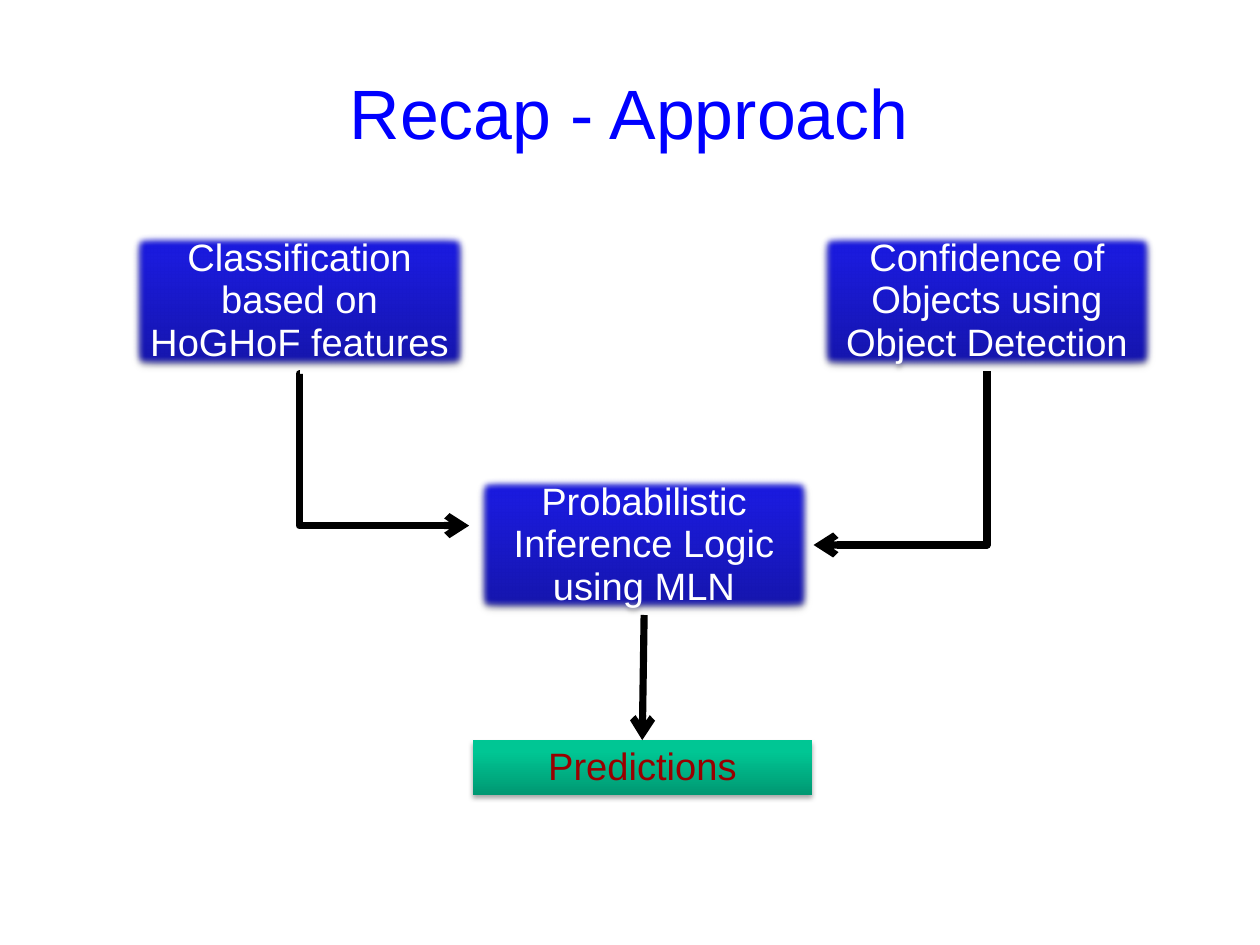
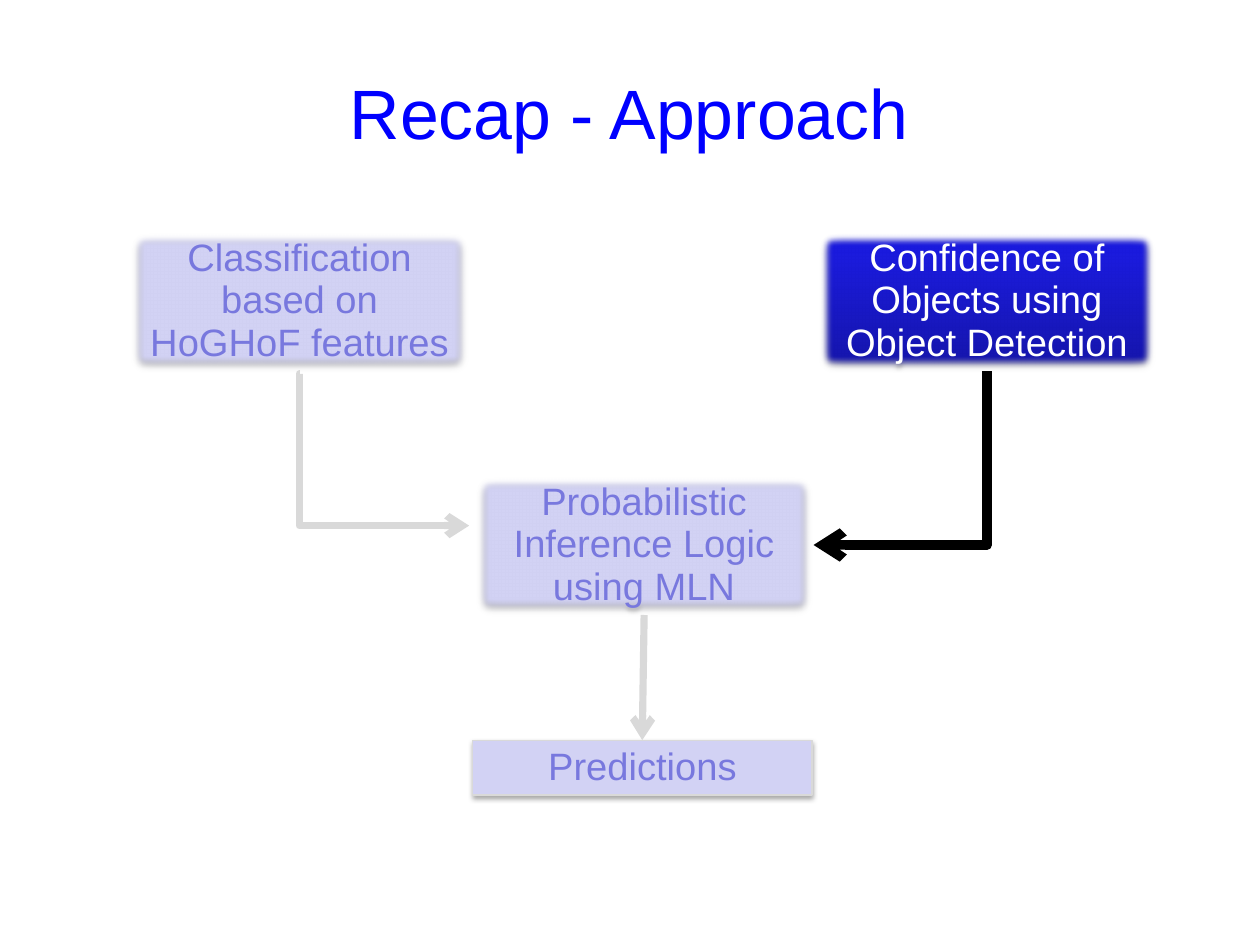
import copy

import pptx
import pptx.dml.color
import pptx.enum.shapes
import pptx.enum.text
import pptx.oxml
import pptx.oxml.ns
import pptx.util

Pt = pptx.util.Pt
qn = pptx.oxml.ns.qn
MSO = pptx.enum.shapes

# Content and shared style
SLIDE_W, SLIDE_H = 793.75, 595.25
TITLE = "Recap - Approach"
FONT = "Arial"
BOX_W, BOX_H, BAR_H = 213.8, 88.4, 34.6
BOXES = {  # name: (text, left, top, height)
    "features": ("Classification based on HoGHoF features", 81.8, 145.5, BOX_H),
    "objects": ("Confidence of Objects using Object Detection", 514.8, 145.5, BOX_H),
    "predictions": ("Predictions", 297.8, 466.2, BAR_H),
    "inference": ("Probabilistic Inference Logic using MLN", 298.8, 299, BOX_H),
}
BLUE = [(0, "1515A9"), (0.8, "1B1BDC"), (1, "1818E1")]
GREEN = [(0, "009872"), (0.8, "00C694"), (1, "00C795")]
ARROWS = {  # name: (preset, from x, from y, to x, to y, rotation, adjustment)
    "features": ("bentConnector3", 188.8, 235.6, 295.6, 331.1, 0, -300),
    "objects": ("bentConnector2", 512.5, 234, 621.8, 343.3, 90, None),
    "inference": ("straightConnector1", 405.8, 387.4, 404.6, 466.2, 0, None),
}
SLIDES = [None, "objects"]  # the step in focus; None shows every step in full
FADED_FILL, FADED_TEXT, FADED_LINE = "D2D2F4", "7878DE", "D9D9D9"


def rgb(value):
    return pptx.dml.color.RGBColor.from_string(value)


def add_xml(parent, xml):
    tag, _, rest = xml.partition(">")
    ns = pptx.oxml.ns.nsdecls("a")
    if tag.endswith("/"):
        parent.append(pptx.oxml.parse_xml(f"{tag[:-1]} {ns}/>"))
    else:
        parent.append(pptx.oxml.parse_xml(f"{tag} {ns}>{rest}"))


def write(sp, text, size, color, inset=None):
    tf = sp.text_frame
    tf.word_wrap = True
    tf.vertical_anchor = pptx.enum.text.MSO_ANCHOR.MIDDLE
    if inset is not None:
        tf.margin_left = tf.margin_right = tf.margin_top = tf.margin_bottom = Pt(inset)
    p = tf.paragraphs[0]
    p.alignment = pptx.enum.text.PP_ALIGN.CENTER
    p.line_spacing = 0.93
    r = p.add_run()
    r.text = text
    r.font.name, r.font.size = FONT, Pt(size)
    r.font.color.rgb = rgb(color)


def fill_gradient(sp, stops):
    sp.fill.gradient()
    sp.fill.gradient_angle = 90
    gs_list = sp._element.spPr.find(".//" + qn("a:gsLst"))
    gs_list.insert(1, copy.deepcopy(gs_list[0]))
    for stop, (position, color) in zip(sp.fill.gradient_stops, stops):
        stop.position = position
        stop.color.rgb = rgb(color)


def add_box(s, name, faded):
    text, left, top, height = BOXES[name]
    is_bar = name == "predictions"
    sp = s.shapes.add_shape(MSO.MSO_SHAPE.RECTANGLE, Pt(left), Pt(top), Pt(BOX_W), Pt(height))
    if faded:
        sp.fill.solid()
        sp.fill.fore_color.rgb = rgb(FADED_FILL)
    else:
        fill_gradient(sp, GREEN if is_bar else BLUE)
    if faded and is_bar:
        sp.line.color.rgb = rgb(FADED_LINE)
        sp.line.width = Pt(0.75)
    else:
        sp.line.fill.background()
    # Drop shadow, and soft edges on the process boxes
    sp.shadow.inherit = False
    effects = sp._element.spPr.find(qn("a:effectLst"))
    add_xml(effects, f'<a:outerShdw blurRad="{Pt(3.1)}" dist="{Pt(1.8)}" dir="5400000" '
                     'rotWithShape="0"><a:srgbClr val="000000"><a:alpha val="35000"/>'
                     '</a:srgbClr></a:outerShdw>')
    if not is_bar:
        add_xml(effects, f'<a:softEdge rad="{Pt(5)}"/>')
    full_color = "990000" if is_bar else "FFFFFF"
    write(sp, text, 24, FADED_TEXT if faded else full_color)


def add_arrow(s, name, color, width):
    preset, x1, y1, x2, y2, rotation, adjustment = ARROWS[name]
    kind = MSO.MSO_CONNECTOR.STRAIGHT if x1 > x2 else MSO.MSO_CONNECTOR.ELBOW
    line = s.shapes.add_connector(kind, Pt(x1), Pt(y1), Pt(x2), Pt(y2))
    line.line.color.rgb = rgb(color)
    line.line.width = Pt(width)
    props = line._element.spPr
    geometry = props.find(qn("a:prstGeom"))
    geometry.set("prst", preset)
    if rotation:
        props.find(qn("a:xfrm")).set("rot", str(rotation * 60000))
    if adjustment is not None:
        add_xml(geometry.find(qn("a:avLst")), f'<a:gd name="adj1" fmla="val {adjustment}"/>')
    add_xml(props.find(qn("a:ln")), '<a:tailEnd type="arrow"/>')
    add_xml(props, "<a:effectLst/>")


def build_slide(prs, focus):
    s = prs.slides.add_slide(prs.slide_layouts[6])
    title = s.shapes.add_textbox(Pt(39.4), Pt(23.4), Pt(714.2), Pt(99.2))
    write(title, TITLE, 44, "0000FF", inset=0)
    for name in BOXES:
        add_box(s, name, faded=focus not in (None, name))
    for name in ARROWS:
        faded = focus not in (None, name)
        add_arrow(s, name, FADED_LINE if faded else "000000", 6 if name == focus else 4.5)


def main():
    prs = pptx.Presentation()
    prs.slide_width, prs.slide_height = Pt(SLIDE_W), Pt(SLIDE_H)
    for focus in SLIDES:
        build_slide(prs, focus)
    prs.save("out.pptx")


if __name__ == "__main__":
    main()
